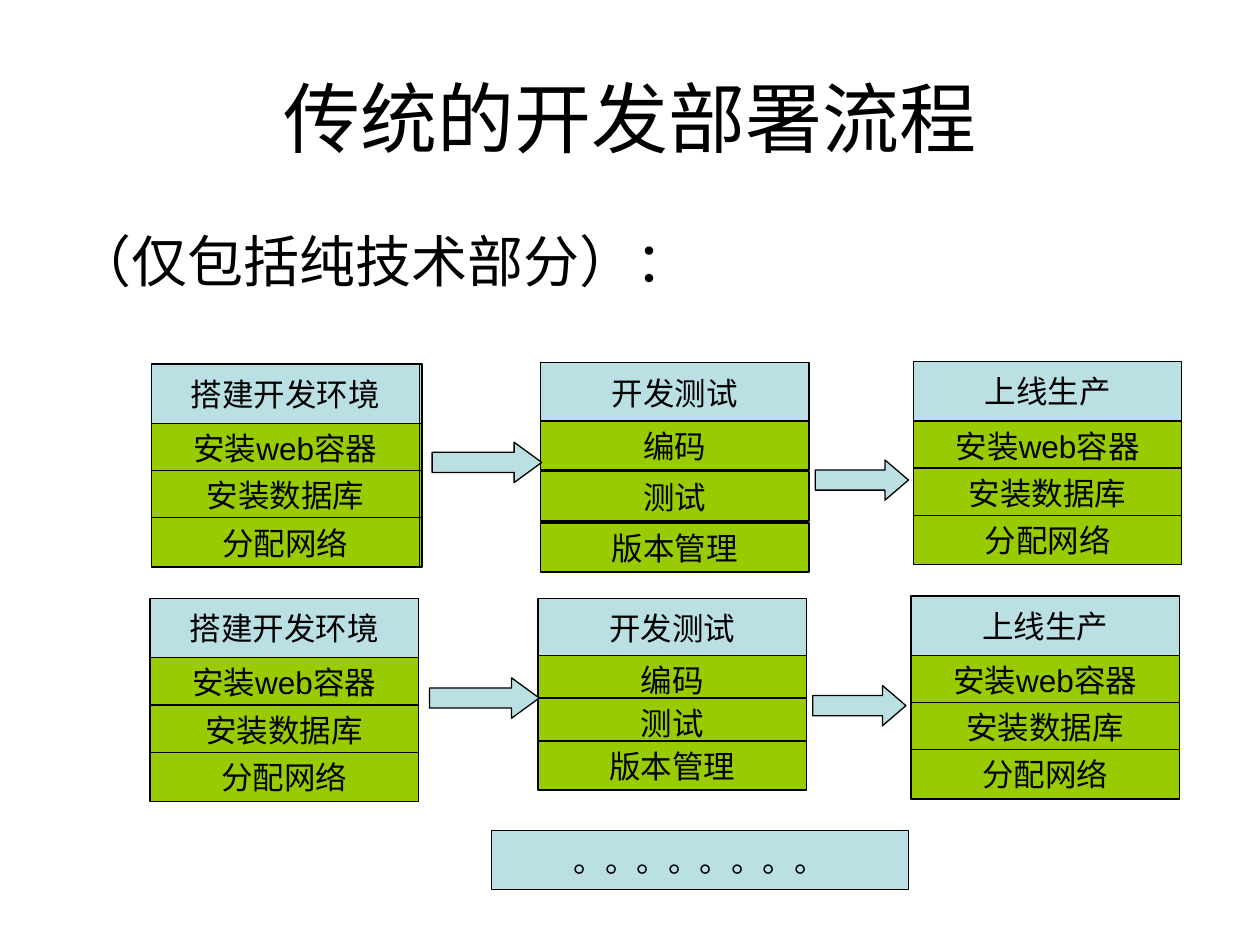
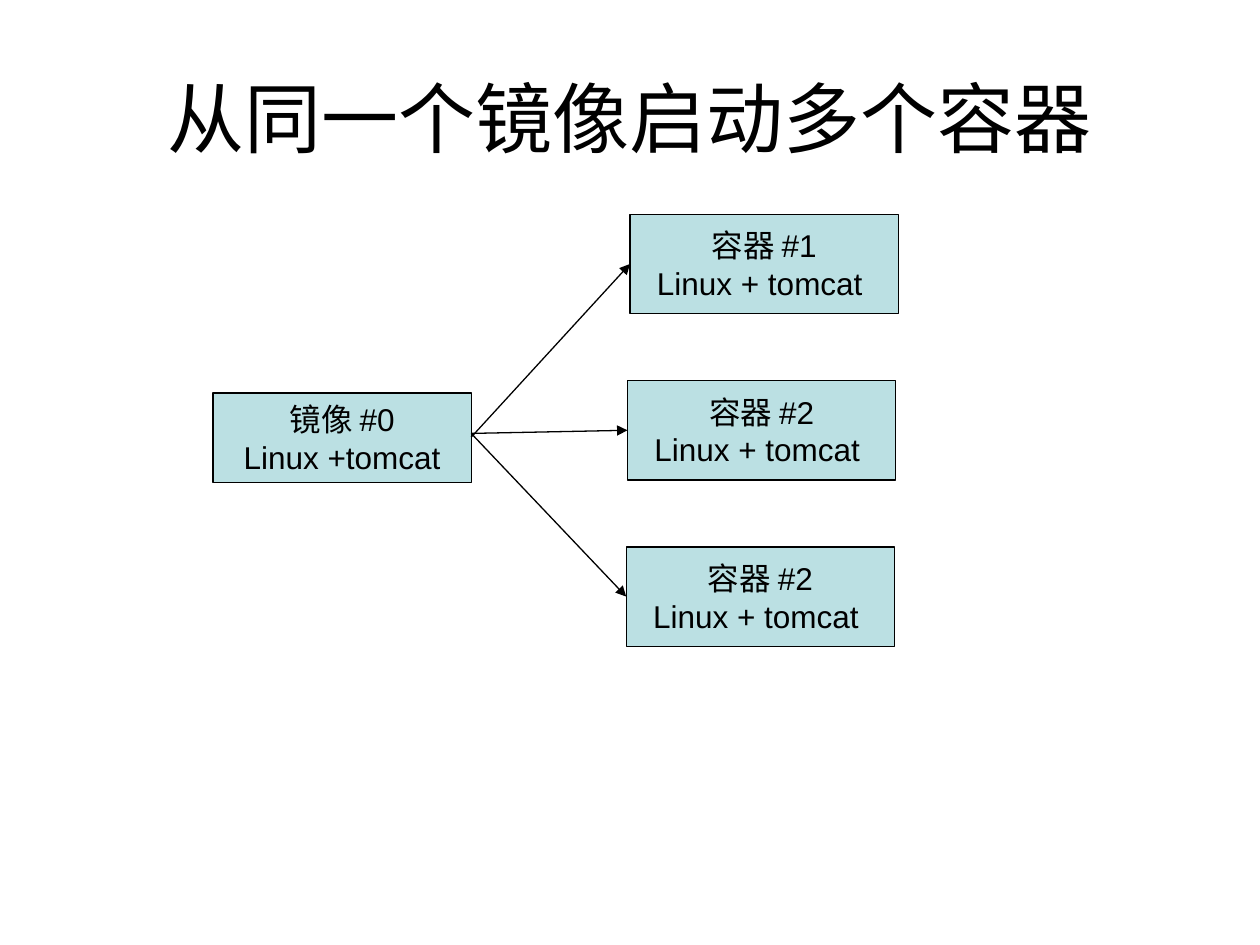
from lxml import etree
from pptx import Presentation
from pptx.dml.color import RGBColor
from pptx.enum.shapes import MSO_CONNECTOR, MSO_SHAPE
from pptx.enum.text import MSO_ANCHOR, PP_ALIGN
from pptx.oxml.ns import qn
from pptx.util import Inches, Pt

COLORS = {"text": "000000", "line": "000000", "phase": "BBE0E3", "step": "99CC00"}
FONT = "Arial"
LINE_WIDTH = Pt(0.75)
BOX_WIDTH = 2.13
PHASE_HEIGHT = 0.47
STEP_HEIGHT = 0.39
CONTAINER_HEIGHT = 0.79

SETUP_STEPS = ["安装web容器", "安装数据库", "分配网络"]
TEST_STEPS = ["编码", "测试", "版本管理"]

# phase, steps, left, top, top of first step, distance between step tops
STACKS = [
    ("搭建开发环境", SETUP_STEPS, 1.22, 2.89, 3.36, 0.375),
    ("搭建开发环境", SETUP_STEPS, 1.2, 2.89, 3.36, 0.375),
    ("开发测试", TEST_STEPS, 4.29, 2.88, 3.34, 0.405),
    ("上线生产", SETUP_STEPS, 7.25, 2.87, 3.34, 0.375),
    ("搭建开发环境", SETUP_STEPS, 1.19, 4.75, 5.22, 0.375),
    ("开发测试", TEST_STEPS, 4.27, 4.75, 5.2, 0.34),
    ("上线生产", SETUP_STEPS, 7.23, 4.73, 5.2, 0.375),
]

# left, top, width, head length ratio
ARROWS = [
    (3.43, 3.51, 0.87, 0.685),
    (6.47, 3.65, 0.74, 0.583),
    (3.41, 5.38, 0.87, 0.685),
    (6.45, 5.44, 0.74, 0.583),
]

# name, left, top, height at which its line leaves the image box
CONTAINERS = [
    ("容器 #1", 5, 1.7, 3.47),
    ("容器 #2", 4.98, 3.02, 3.44),
    ("容器 #2", 4.97, 4.34, 3.44),
]


def color(name):
    return RGBColor.from_string(COLORS[name])


def format_text(text_frame, size, alignment):
    for paragraph in text_frame.paragraphs:
        paragraph.alignment = alignment
        for run in paragraph.runs:
            run.font.name = FONT
            run.font.size = Pt(size)
            run.font.color.rgb = color("text")


def place(shape, left, top, width, height):
    shape.left, shape.top = Inches(left), Inches(top)
    shape.width, shape.height = Inches(width), Inches(height)


def add_titled_slide(presentation, layout_name, title):
    layout = presentation.slide_layouts.get_by_name(layout_name)
    slide = presentation.slides.add_slide(layout)
    shape = slide.shapes.title
    place(shape, 0.5, 0.3, 9, 1.25)
    shape.text_frame.text = title
    shape.text_frame.vertical_anchor = MSO_ANCHOR.MIDDLE
    format_text(shape.text_frame, 44, PP_ALIGN.CENTER)
    return slide


def fill_body(slide, text):
    """Write the body as plain text without a bullet."""
    body = slide.placeholders[1]
    place(body, 0.5, 1.75, 9, 4.95)
    body.text_frame.text = text
    paragraph = body.text_frame.paragraphs[0]
    paragraph.space_before = Pt(0)
    properties = paragraph._p.get_or_add_pPr()
    properties.set("marL", "0")
    properties.set("indent", "0")
    etree.SubElement(properties, qn("a:buNone"))
    format_text(body.text_frame, 32, PP_ALIGN.LEFT)


def add_filled_shape(slide, kind, left, top, width, height, fill):
    shape = slide.shapes.add_shape(
        kind, Inches(left), Inches(top), Inches(width), Inches(height))
    shape.shadow.inherit = False
    shape.fill.solid()
    shape.fill.fore_color.rgb = color(fill)
    shape.line.color.rgb = color("line")
    shape.line.width = LINE_WIDTH
    return shape


def add_box(slide, text, left, top, width, height, fill="phase"):
    shape = add_filled_shape(
        slide, MSO_SHAPE.FLOWCHART_PROCESS, left, top, width, height, fill)
    text_frame = shape.text_frame
    text_frame.text = text
    text_frame.word_wrap = False
    text_frame.vertical_anchor = MSO_ANCHOR.MIDDLE
    format_text(text_frame, 18, PP_ALIGN.CENTER)


def add_stack(slide, phase, steps, left, top, first_step_top, pitch):
    """Add a phase box with its steps below it."""
    add_box(slide, phase, left, top, BOX_WIDTH, PHASE_HEIGHT)
    for index, step in enumerate(steps):
        add_box(slide, step, left, first_step_top + index * pitch,
                BOX_WIDTH, STEP_HEIGHT, "step")


def add_block_arrow(slide, left, top, width, head_ratio):
    arrow = add_filled_shape(
        slide, MSO_SHAPE.RIGHT_ARROW, left, top, width, 0.32, "phase")
    arrow.adjustments[0] = 0.5
    arrow.adjustments[1] = head_ratio


def add_arrow_line(slide, start, end):
    points = [Inches(value) for value in (*start, *end)]
    connector = slide.shapes.add_connector(MSO_CONNECTOR.STRAIGHT, *points)
    connector.line.color.rgb = color("line")
    connector.line.width = LINE_WIDTH
    line = connector.line._get_or_add_ln()
    etree.SubElement(line, qn("a:tailEnd"), type="triangle")
    etree.SubElement(connector._element.spPr, qn("a:effectLst"))


def build_process_slide(presentation):
    slide = add_titled_slide(presentation, "Title and Content", "传统的开发部署流程")
    fill_body(slide, "（仅包括纯技术部分）：")
    for stack in STACKS:
        add_stack(slide, *stack)
    for arrow in ARROWS:
        add_block_arrow(slide, *arrow)
    add_box(slide, "。。。。。。。。", 3.9, 6.59, 3.31, PHASE_HEIGHT)


def build_containers_slide(presentation):
    slide = add_titled_slide(presentation, "Title Only", "从同一个镜像启动多个容器")
    image_left, image_width = 1.69, 2.05
    add_box(slide, "镜像 #0\nLinux +tomcat", image_left, 3.12, image_width, 0.71)
    for name, left, top, start_height in CONTAINERS:
        add_box(slide, f"{name}\nLinux + tomcat ", left, top,
                BOX_WIDTH, CONTAINER_HEIGHT)
        add_arrow_line(slide, (image_left + image_width, start_height),
                       (left, top + CONTAINER_HEIGHT / 2))


def main():
    presentation = Presentation()
    presentation.slide_width = Inches(10)
    presentation.slide_height = Inches(7.5)
    build_process_slide(presentation)
    build_containers_slide(presentation)
    presentation.save("out.pptx")


if __name__ == "__main__":
    main()
